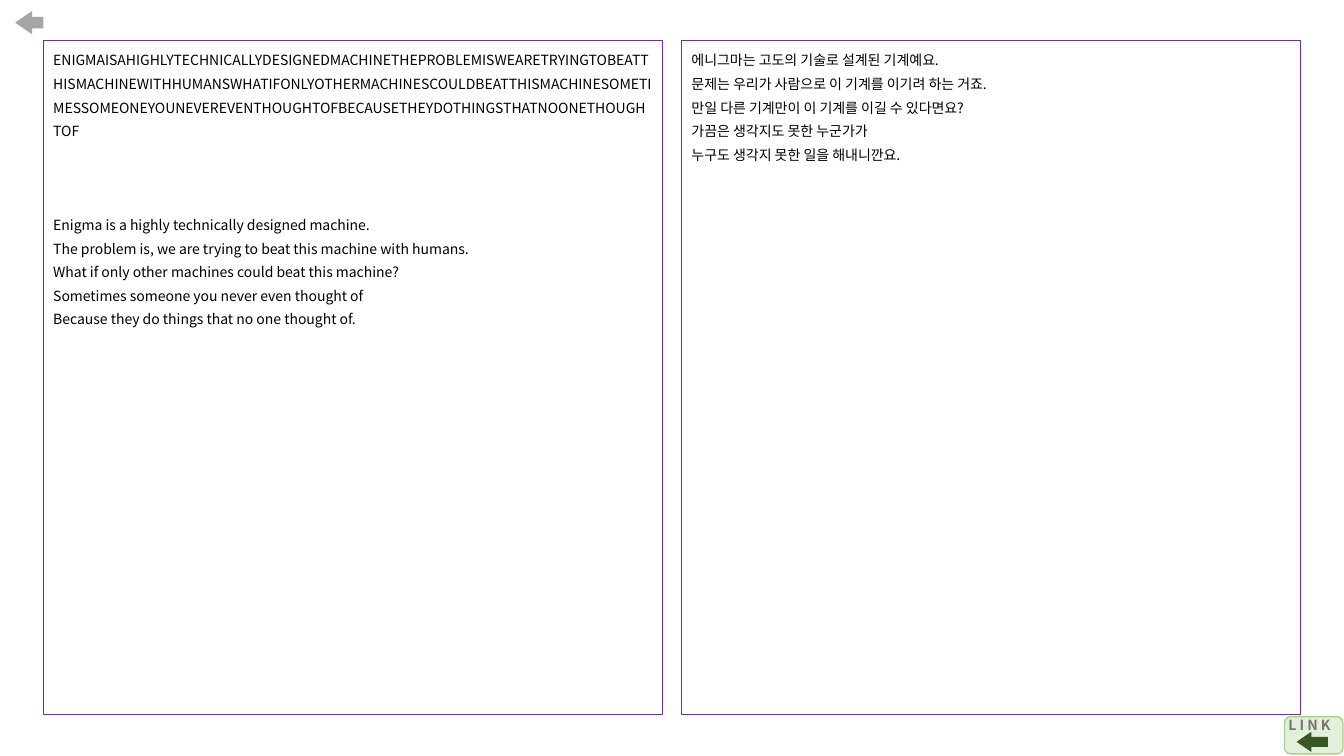
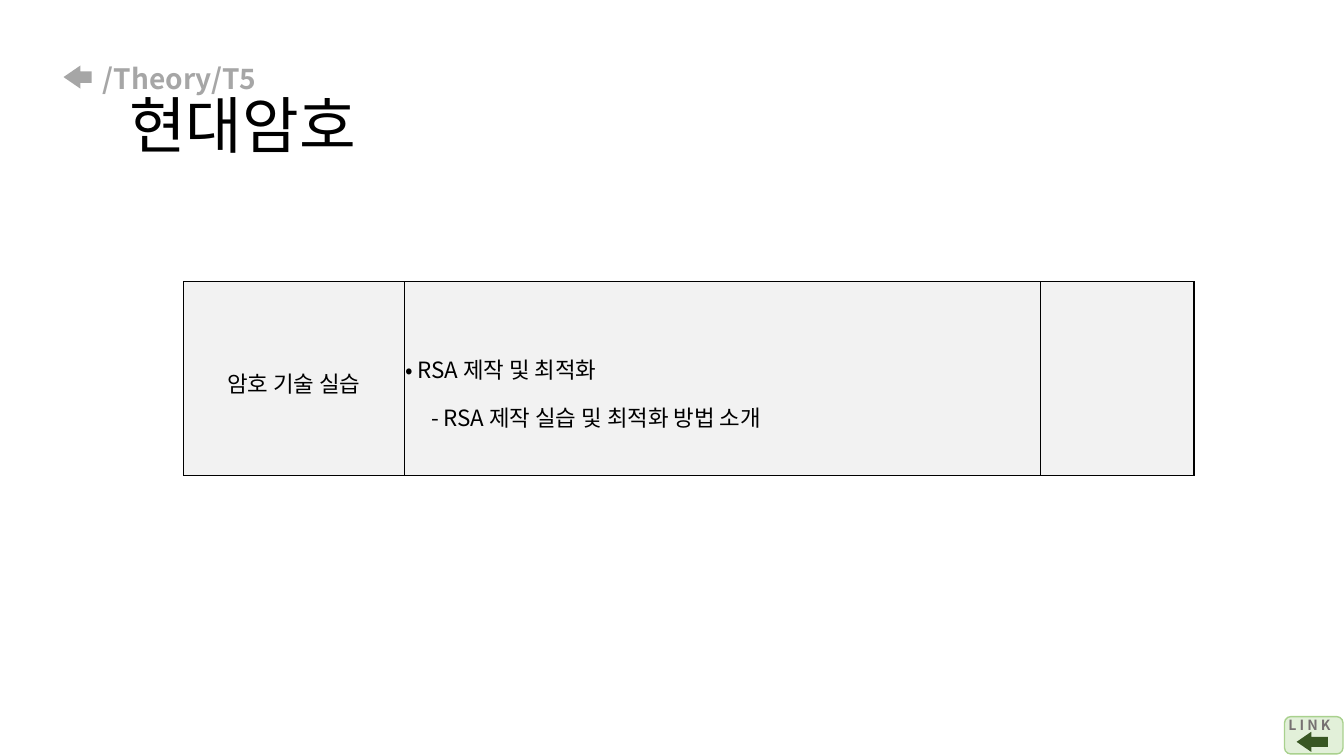
from lxml import etree
from pptx import Presentation
from pptx.dml.color import RGBColor
from pptx.enum import shapes, text
from pptx.oxml.ns import qn
from pptx.util import Inches, Pt

FONT = "Noto Sans CJK KR"
BLACK = RGBColor(0x00, 0x00, 0x00)
PURPLE = RGBColor(0x70, 0x30, 0xA0)
GRAY = RGBColor(0xA6, 0xA6, 0xA6)
DARK_GRAY = RGBColor(0x76, 0x71, 0x71)
LIGHT_GRAY = RGBColor(0xF2, 0xF2, 0xF2)
PALE_GREEN = RGBColor(0xE2, 0xF0, 0xD9)
GREEN = RGBColor(0xA9, 0xD1, 0x8E)
DARK_GREEN = RGBColor(0x38, 0x57, 0x23)

TITLE_ONLY, BLANK = 5, 6

CIPHERTEXT = (
    "ENIGMAISAHIGHLYTECHNICALLYDESIGNEDMACHINETHEPROBLEMISWEARETRYINGTOBEATT"
    "HISMACHINEWITHHUMANSWHATIFONLYOTHERMACHINESCOULDBEATTHISMACHINESOMETI"
    "MESSOMEONEYOUNEVEREVENTHOUGHTOFBECAUSETHEYDOTHINGSTHATNOONETHOUGHTOF"
)
ENGLISH = [
    "Enigma is a highly technically designed machine.",
    "The problem is, we are trying to beat this machine with humans.",
    "What if only other machines could beat this machine?",
    "Sometimes someone you never even thought of",
    "Because they do things that no one thought of.",
]
KOREAN = [
    "에니그마는 고도의 기술로 설계된 기계예요.",
    "문제는 우리가 사람으로 이 기계를 이기려 하는 거죠.",
    "만일 다른 기계만이 이 기계를 이길 수 있다면요?",
    "가끔은 생각지도 못한 누군가가",
    "누구도 생각지 못한 일을 해내니깐요.",
]


def add_paragraph(tf, words, size, color=BLACK, bold=False, **formats):
    """Fill the empty first paragraph of a frame, or append a new one."""
    p = tf.paragraphs[0]
    if p.runs:
        p = tf.add_paragraph()
    for name, value in formats.items():
        setattr(p, name, value)
    r = p.add_run()
    r.text = words
    r.font.name, r.font.size, r.font.bold = FONT, Pt(size), bold
    r.font.color.rgb = color
    east_asian = etree.Element(qn("a:ea"), typeface=FONT)
    r.font._element.find(qn("a:latin")).addnext(east_asian)
    return p


def set_indent(p, left, hanging=0, bullet=None):
    """Indent a paragraph; the bullet hangs to the left of the text."""
    props = p._p.get_or_add_pPr()
    props.set("marL", str(Inches(left)))
    props.set("indent", str(-Inches(hanging)))
    if bullet:
        etree.SubElement(props, qn("a:buFont"), typeface=FONT)
        etree.SubElement(props, qn("a:buChar"), char=bullet)


def add_preset(parent, kind, box, fill=None, line=None, width=1):
    sp = parent.add_shape(kind, *map(Inches, box))
    sp.shadow.inherit = False
    if fill is None:
        sp.fill.background()
    else:
        sp.fill.solid()
        sp.fill.fore_color.rgb = fill
    if line is None:
        sp.line.fill.background()
    else:
        sp.line.color.rgb = line
        sp.line.width = Pt(width)
    return sp


def add_back_arrow(parent, box, color):
    sp = add_preset(parent, shapes.MSO_SHAPE.LEFT_ARROW, box, color)
    sp.adjustments[0], sp.adjustments[1] = 0.5, 0.73


def add_link_button(s):
    group = s.shapes.add_group_shape().shapes
    add_preset(group, shapes.MSO_SHAPE.ROUNDED_RECTANGLE,
               (12.74, 7.11, 0.58, 0.37), PALE_GREEN, GREEN)
    label = group.add_textbox(*map(Inches, (12.68, 7.06, 0.74, 0.44)))
    label.text_frame.word_wrap = True
    add_paragraph(label.text_frame, "L I N K", 10, DARK_GRAY, True)
    add_back_arrow(group, (12.86, 7.26, 0.31, 0.2), DARK_GREEN)


def add_panel(s, left):
    sp = add_preset(s.shapes, shapes.MSO_SHAPE.RECTANGLE,
                    (left, 0.4, 6.14, 6.69), line=PURPLE, width=0.75)
    tf = sp.text_frame
    tf.word_wrap = True
    tf.vertical_anchor = text.MSO_ANCHOR.TOP
    return tf


def add_lines(tf, lines):
    for words in lines:
        add_paragraph(tf, words, 10, line_spacing=1.4,
                      alignment=text.PP_ALIGN.LEFT)


def set_title(s, trail, heading):
    title = s.shapes.title
    box = dict(left=0.92, top=0.4, width=11.5, height=1.45)
    for name, value in box.items():
        setattr(title, name, Inches(value))
    tf = title.text_frame
    tf.vertical_anchor = text.MSO_ANCHOR.MIDDLE
    formats = dict(alignment=text.PP_ALIGN.LEFT, line_spacing=0.9)
    add_paragraph(tf, trail, 20, GRAY, True, **formats)
    p = add_paragraph(tf, heading, 44, **formats)
    set_indent(p, 0.26)


def set_border(cell, side, width):
    line = etree.SubElement(cell._tc.get_or_add_tcPr(), qn("a:ln" + side),
                            w=str(Pt(width)))
    fill = etree.SubElement(line, qn("a:solidFill"))
    etree.SubElement(fill, qn("a:srgbClr"), val=str(BLACK))


def add_topic_table(s):
    widths = (2.19, 6.31, 1.52)
    frame = s.shapes.add_table(1, len(widths), *map(
        Inches, (1.82, 2.79, sum(widths), 1.92)))
    table = frame.table
    table.first_row = table.horz_banding = False
    for column, width in zip(table.columns, widths):
        column.width = Inches(width)
    cells = list(table.rows[0].cells)
    for cell in cells:
        for side in "LRTB":
            heavy = side == "R" and cell is cells[-1]
            set_border(cell, side, 1.7 if heavy else 0.28)
        cell.fill.solid()
        cell.fill.fore_color.rgb = LIGHT_GRAY

    topic, details = cells[:2]
    for cell in (topic, details):
        cell.vertical_anchor = text.MSO_ANCHOR.MIDDLE
        for edge in ("left", "top", "right", "bottom"):
            setattr(cell, "margin_" + edge, Inches(0.01))
    add_paragraph(topic.text_frame, "암호 기술 실습", 16, line_spacing=1.3,
                  alignment=text.PP_ALIGN.CENTER)
    for words, spacing, left, bullet in (
        ("RSA 제작 및 최적화", 1.9, 0.12, "•"),
        ("RSA 제작 실습 및 최적화 방법 소개", 1.5, 0.38, "-"),
    ):
        p = add_paragraph(details.text_frame, words, 16, line_spacing=spacing,
                          alignment=text.PP_ALIGN.JUSTIFY)
        set_indent(p, left, 0.12, bullet)


def build_enigma_slide(prs):
    s = prs.slides.add_slide(prs.slide_layouts[BLANK])
    tf = add_panel(s, 0.43)
    add_lines(tf, [CIPHERTEXT] + ENGLISH)
    tf.paragraphs[1].space_before = Pt(50.5)
    add_lines(add_panel(s, 6.76), KOREAN)
    add_link_button(s)
    add_back_arrow(s.shapes, (0.15, 0.11, 0.28, 0.23), GRAY)


def build_modern_cipher_slide(prs):
    s = prs.slides.add_slide(prs.slide_layouts[TITLE_ONLY])
    set_title(s, "/Theory/T5", "현대암호")
    add_back_arrow(s.shapes, (0.63, 0.65, 0.28, 0.23), GRAY)
    add_topic_table(s)
    add_link_button(s)


def main():
    prs = Presentation()
    prs.slide_width, prs.slide_height = Inches(13.33), Inches(7.5)
    build_enigma_slide(prs)
    build_modern_cipher_slide(prs)
    prs.save("out.pptx")


if __name__ == "__main__":
    main()
